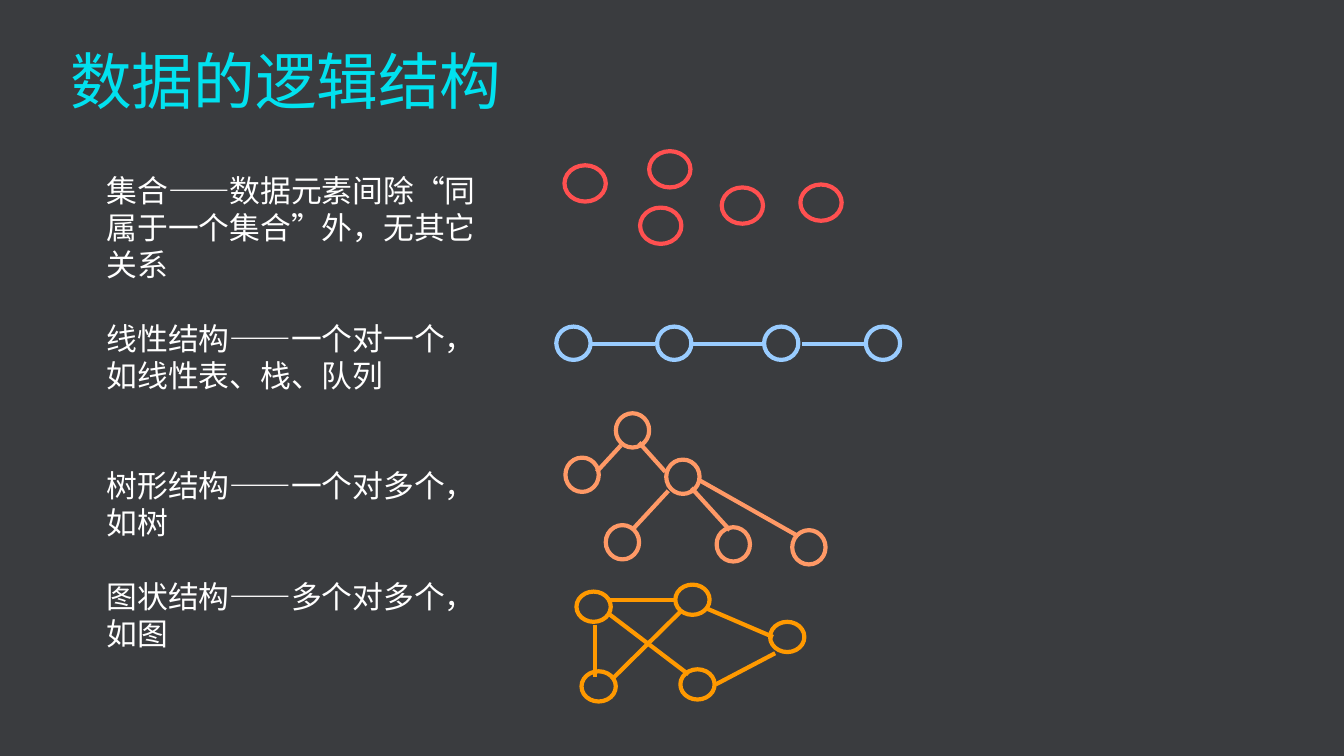
"""Build a slide on the four logical structures of data."""
from lxml import etree
from pptx import Presentation
from pptx.dml.color import RGBColor
from pptx.enum.shapes import MSO_CONNECTOR, MSO_SHAPE
from pptx.enum.text import MSO_ANCHOR, PP_ALIGN
from pptx.oxml.ns import qn
from pptx.util import Pt

OVAL, STRAIGHT = MSO_SHAPE.OVAL, MSO_CONNECTOR.STRAIGHT
TOP, LEFT = MSO_ANCHOR.TOP, PP_ALIGN.LEFT
FONT = "Noto Sans CJK SC"
BACKGROUND = "3A3C3F"
LINE_WIDTH = 3
BODY_PITCH = 26.4

TITLE = {
    "box": (43.2, 23.8, 841, 72.7), "size": 44, "color": "01E1EF",
    "pitch": 56, "indent": 0,
    "paragraphs": [("数据的逻辑结构", 0)],
}
BODY = {
    "box": (33.1, 119, 329.8, 353.5), "size": 22, "color": "FFFFFF",
    "pitch": BODY_PITCH, "indent": 36,
    "paragraphs": [
        ("集合——数据元素间除“同属于一个集合”外，无其它关系", 0),
        ("线性结构——一个对一个，如线性表、栈、队列", 1),
        ("树形结构——一个对多个，如树", 2),
        ("图状结构——多个对多个，如图", 1),
    ],
}
DIAGRAMS = [
    {"color": "FF5050", "node": (29.5, 25.9),
     "nodes": [(403.2, 118.1), (463.7, 108), (457.2, 148.3),
               (515.5, 133.9), (571.7, 131.8)],
     "edges": []},
    {"color": "99CCFF", "node": (24.5, 23.8),
     "nodes": [(x, 233.3) for x in (397.4, 469.4, 545.8, 618.5)],
     "edges": [(a, 245.5, b, 245.5) for a, b in
               ((421.9, 468), (493.2, 546.5), (573.1, 617))]},
    {"color": "FF9966", "node": (23.8, 24.5),
     "nodes": [(439.9, 295.2), (403.9, 326.9), (475.9, 328.3),
               (432.7, 375.1), (511.9, 376.6), (565.9, 378.7)],
     "edges": [(443.5, 318.2, 426.2, 337), (477.4, 350.6, 451.4, 378.7),
               (456.5, 316.1, 475.2, 337), (493.9, 348.5, 521.3, 378.7),
               (499, 342.7, 570.2, 383)]},
    {"color": "FF9900", "node": (24.5, 21.6),
     "nodes": [(482.4, 417.6), (415.4, 479.5), (486, 478.1),
               (550.1, 444.2), (411.8, 422.6)],
     "edges": [(424.8, 446.4, 424.8, 483.8), (434.9, 438.5, 491.8, 481.7),
               (505.4, 434.9, 552.2, 455), (486.7, 436.3, 437, 485.3),
               (553.7, 466.6, 511.2, 488.9), (434.9, 428.4, 483.1, 428.4)]},
]


def rgb(value):
    return RGBColor.from_string(value)


def points(values):
    return [Pt(v) for v in values]


def set_line(sp, color):
    sp.line.color.rgb = rgb(color)
    sp.line.width = Pt(LINE_WIDTH)


def add_text(s, block):
    tf = s.shapes.add_textbox(*points(block["box"])).text_frame
    tf.word_wrap = True
    tf.vertical_anchor = TOP
    for i, (text, blank_lines) in enumerate(block["paragraphs"]):
        p = tf.paragraphs[0] if i == 0 else tf.add_paragraph()
        p.alignment = LEFT
        p.line_spacing = Pt(block["pitch"])
        if blank_lines:
            p.space_before = Pt(blank_lines * block["pitch"])
        p_pr = p._p.get_or_add_pPr()
        p_pr.set("marL", str(Pt(block["indent"])))
        p_pr.set("indent", "0")
        r = p.add_run()
        r.text = text
        formats = {"size": Pt(block["size"]), "name": FONT}
        for name, value in formats.items():
            setattr(r.font, name, value)
        r.font.color.rgb = rgb(block["color"])
        ea = etree.SubElement(r._r.get_or_add_rPr(), qn("a:ea"))
        ea.set("typeface", FONT)


def add_diagram(s, diagram):
    group = s.shapes.add_group_shape()
    for corner in diagram["nodes"]:
        sp = group.shapes.add_shape(OVAL, *points(corner + diagram["node"]))
        sp.shadow.inherit = False
        sp.fill.background()
        set_line(sp, diagram["color"])
    for ends in diagram["edges"]:
        edge = group.shapes.add_connector(STRAIGHT, *points(ends))
        set_line(edge, diagram["color"])
        etree.SubElement(edge._element.spPr, qn("a:effectLst"))


def main():
    prs = Presentation()
    prs.slide_width, prs.slide_height = Pt(960), Pt(540)
    s = prs.slides.add_slide(prs.slide_layouts[6])
    s.background.fill.solid()
    s.background.fill.fore_color.rgb = rgb(BACKGROUND)
    for block in (TITLE, BODY):
        add_text(s, block)
    for diagram in DIAGRAMS:
        add_diagram(s, diagram)
    prs.save("out.pptx")


if __name__ == "__main__":
    main()
